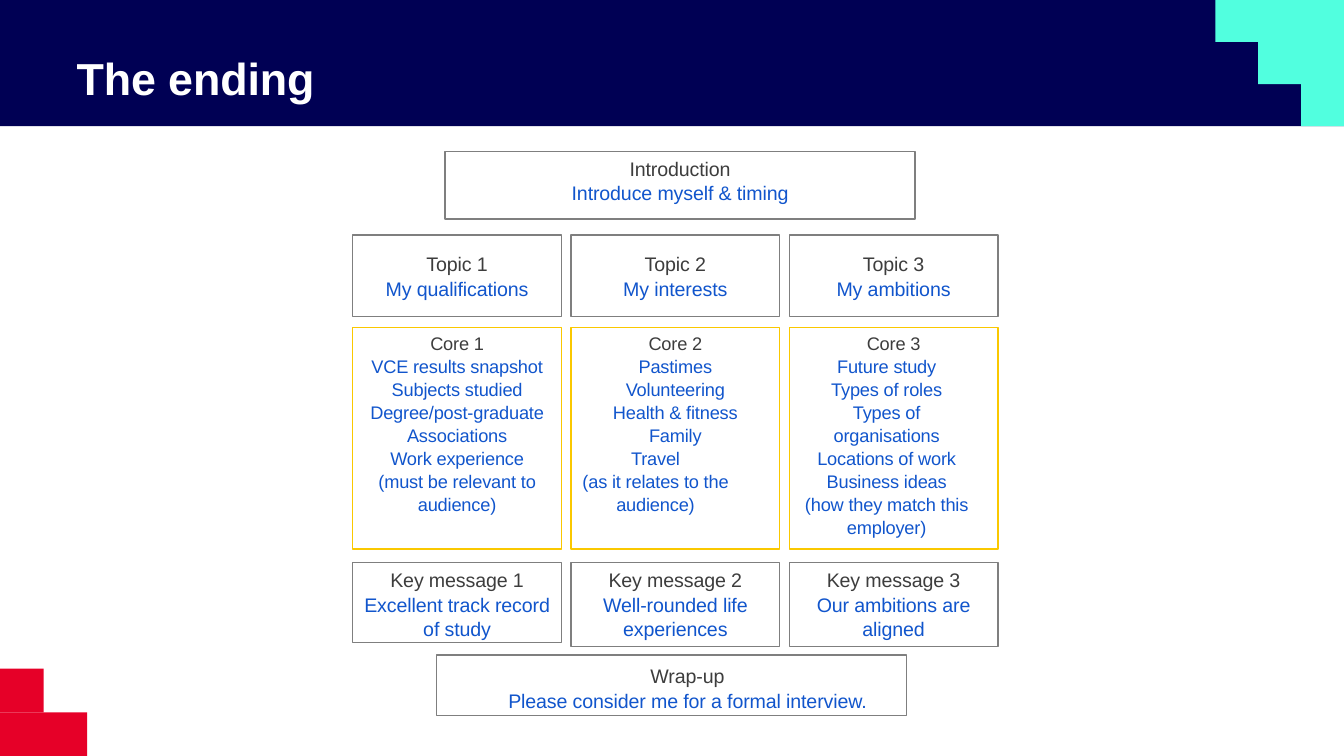
from pptx import Presentation
from pptx.dml.color import RGBColor
from pptx.enum.shapes import MSO_SHAPE
from pptx.enum.text import MSO_ANCHOR, MSO_AUTO_SIZE, PP_ALIGN
from pptx.util import Cm, Pt

RECT = MSO_SHAPE.RECTANGLE
TOP, MIDDLE = MSO_ANCHOR.TOP, MSO_ANCHOR.MIDDLE
LEFT, CENTER = PP_ALIGN.LEFT, PP_ALIGN.CENTER
NO_FIT = MSO_AUTO_SIZE.NONE
TITLE_ONLY = 5
WIDTH, HEIGHT = 33.87, 19.05

COLORS = {
    "navy": "000054", "red": "E60028", "mint": "51FFDF", "white": "FFFFFF",
    "gray": "7F7F7F", "yellow": "FAC800", "heading": "3D3D3D", "answer": "1155CC",
}


def rgb(name):
    """Return the named colour."""
    return RGBColor.from_string(COLORS[name])


def add_text(p, text, size=14, color="heading", bold=False, align=CENTER,
             spacing=1.05, right=0):
    """Write text into a paragraph; right is its right indent in cm."""
    p.alignment = align
    p.line_spacing = spacing
    p.space_before = p.space_after = Pt(0)
    if right:
        p._p.get_or_add_pPr().set("marR", str(Cm(right)))
    r = p.add_run()
    r.text = text
    r.font.name = "Arial"
    r.font.size = Pt(size)
    r.font.bold = bold
    r.font.color.rgb = rgb(color)
    r._r.get_or_add_rPr().set("spc", "-10")


class Deck:
    """Holds the presentation, its style and the current slide."""

    def __init__(self):
        """Start a widescreen presentation with one titled slide."""
        self.prs = Presentation()
        self.prs.slide_width, self.prs.slide_height = Cm(WIDTH), Cm(HEIGHT)
        self.s = self.prs.slides.add_slide(self.prs.slide_layouts[TITLE_ONLY])

    def frame(self, sp, top=0, anchor=TOP):
        """Give a shape a wrapping text frame without side margins."""
        tf = sp.text_frame
        tf.word_wrap, tf.auto_size, tf.vertical_anchor = True, NO_FIT, anchor
        tf.margin_left = tf.margin_right = tf.margin_bottom = 0
        tf.margin_top = Cm(top)
        return tf

    def title(self, text, x, y, w, h):
        """Place the title in front of the shapes drawn so far."""
        sp = self.s.shapes.title
        sp.left, sp.top, sp.width, sp.height = Cm(x), Cm(y), Cm(w), Cm(h)
        sp.element.getparent().append(sp.element)
        tf = self.frame(sp, anchor=MIDDLE)
        add_text(tf.paragraphs[0], text, size=32, color="white", bold=True,
                 align=LEFT, spacing=1.0)

    def rect(self, x, y, w, h, fill=None, line=None):
        """Draw a rectangle with an optional fill and outline."""
        sp = self.s.shapes.add_shape(RECT, Cm(x), Cm(y), Cm(w), Cm(h))
        sp.shadow.inherit = False
        if fill:
            sp.fill.solid()
            sp.fill.fore_color.rgb = rgb(fill)
        else:
            sp.fill.background()
        if line:
            sp.line.color.rgb = rgb(line)
            sp.line.width = Pt(1)
        else:
            sp.line.fill.background()
        return sp

    def lines(self, tf, heading, answers, size=14):
        """Write a heading and its answers; an answer may be (text, right indent)."""
        add_text(tf.paragraphs[0], heading, size=size)
        for answer in answers:
            text, right = answer if isinstance(answer, tuple) else (answer, 0)
            add_text(tf.add_paragraph(), text, size=size, color="answer", right=right)

    def box(self, x, y, w, h, heading, answers, size=14, line="gray", top=0.1):
        """Draw an outlined box with a heading and answers."""
        sp = self.rect(x, y, w, h, line=line)
        self.lines(self.frame(sp, top), heading, answers, size)

    def label(self, x, y, w, h, heading, answers):
        """Add a text box with a heading and answers."""
        sp = self.s.shapes.add_textbox(Cm(x), Cm(y), Cm(w), Cm(h))
        self.lines(self.frame(sp), heading, answers)


TOPICS = ["My qualifications", "My interests", "My ambitions"]
CORES = [
    ["VCE results snapshot", "Subjects studied", "Degree/post-graduate",
     "Associations", "Work experience", "(must be relevant to", "audience)"],
    ["Pastimes", "Volunteering", "Health & fitness", "Family", ("Travel", 1),
     "(as it relates to the", "audience)"],
    [("Future study", 0.35), "Types of roles", "Types of", "organisations",
     "Locations of work", "Business ideas", "(how they match this", "employer)"],
]
MESSAGES = [
    ["Excellent track record", "of study"],
    ["Well-rounded life", "experiences"],
    ["Our ambitions are", "aligned"],
]
MESSAGE_HEIGHTS = [2.01, 2.11, 2.11]
COL_X, COL_W, COL_STEP = 8.89, 5.26, 5.5
BAND_H = 3.18
MINT_W, MINT_H, RED_STEP = 1.08, BAND_H / 3, 1.1

deck = Deck()
deck.rect(0, 0, WIDTH, BAND_H, fill="navy")
for i in range(3):
    w = (3 - i) * MINT_W
    deck.rect(WIDTH - w, i * MINT_H, w, MINT_H, fill="mint")
for i in range(2):
    deck.rect(0, HEIGHT - (2 - i) * RED_STEP, (i + 1) * RED_STEP, RED_STEP, fill="red")
deck.title("The ending", 1.93, 1.27, 30, 1.37)

deck.box(11.22, 3.82, 11.84, 1.7, "Introduction", ["Introduce myself & timing"])
for i in range(3):
    x, n = COL_X + i * COL_STEP, i + 1
    deck.box(x, 5.92, COL_W, 2.05, f"Topic {n}", [TOPICS[i]], top=0.4)
    deck.box(x, 8.25, COL_W, 5.59, f"Core {n}", CORES[i], size=13, line="yellow")
    deck.box(x, 14.18, COL_W, MESSAGE_HEIGHTS[i], f"Key message {n}", MESSAGES[i])
deck.rect(11, 16.51, 11.84, 1.52, line="gray")
deck.label(12.7, 16.7, 9.25, 1.17, "Wrap-up",
           ["Please consider me for a formal interview."])

deck.prs.save("out.pptx")
